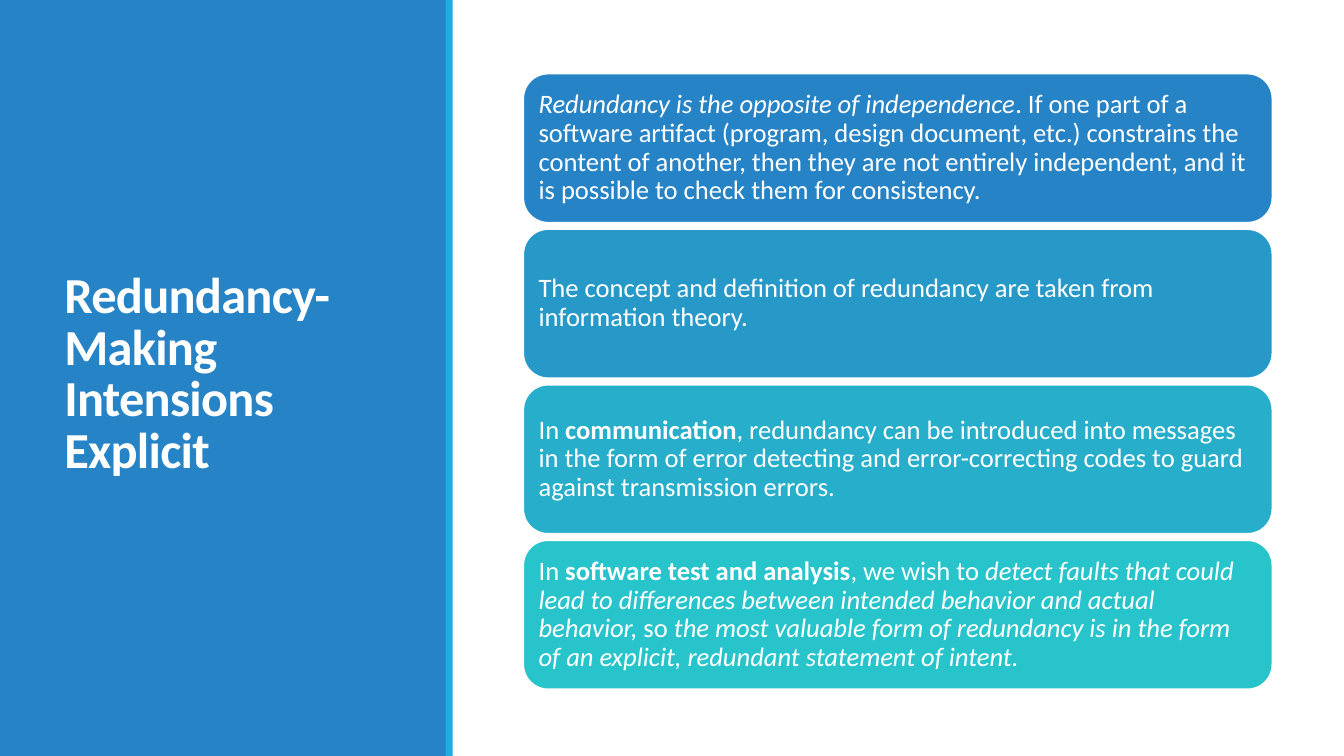
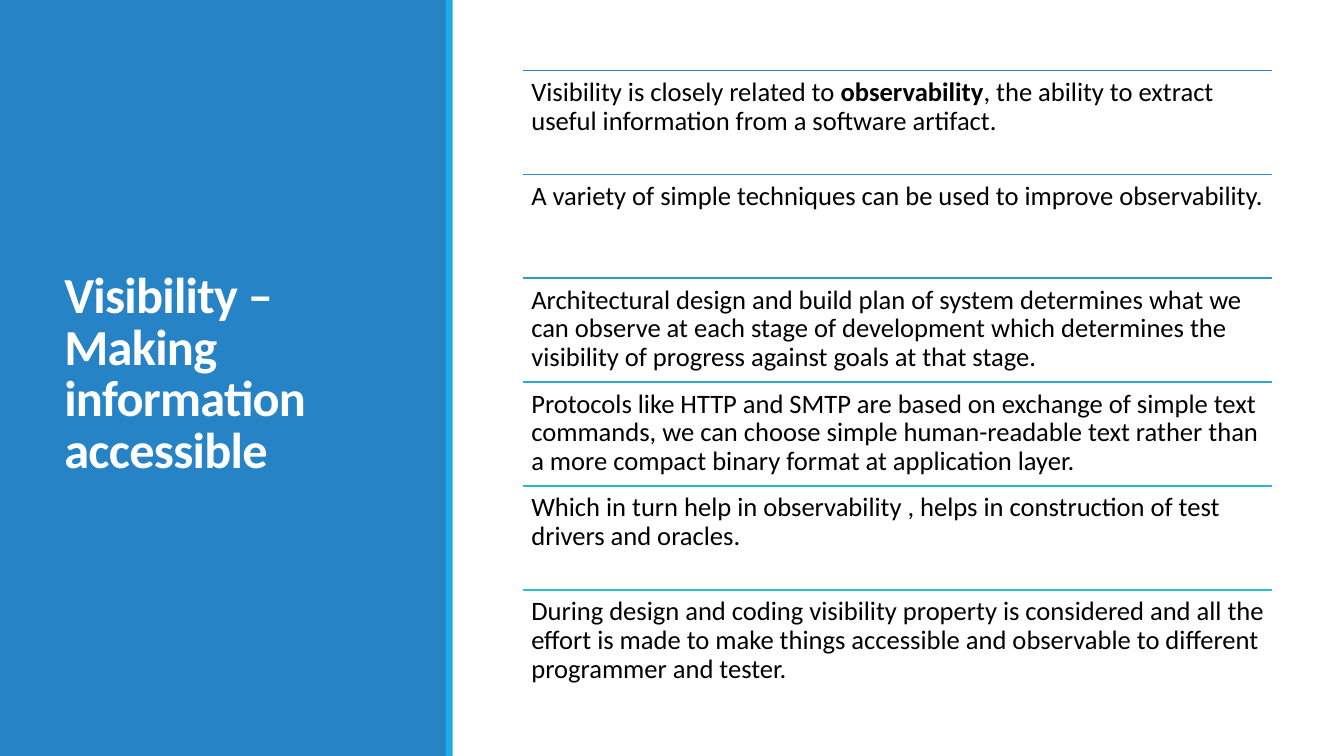
import pptx
import pptx.util
import pptx.dml.color
import pptx.enum.shapes
import pptx.enum.text
import pptx.oxml.ns
import lxml.etree

Inches, Pt = pptx.util.Inches, pptx.util.Pt
SHAPE = pptx.enum.shapes.MSO_SHAPE
ANCHOR = pptx.enum.text.MSO_ANCHOR

COLORS = {"blue": "2683C6", "sky": "1CADE4", "teal": "28C4CC",
          "white": "FFFFFF", "black": "000000"}
FONT = "Calibri"
LEFT, WIDTH = 5.19, 7.43

# Content: each item is a list of (text, style), style "b" bold, "i" italic
CARDS = {
    "title": "Redundancy-Making Intensions Explicit",
    "items": [
        [("Redundancy is the opposite of independence", "i"),
         (". If one part of a software artifact (program, design document, "
          "etc.) constrains the content of another, then they are not "
          "entirely independent, and it is possible to check them for "
          "consistency.", "")],
        [("The concept and definition of redundancy are taken from "
          "information theory.", "")],
        [("In ", ""), ("communication", "b"),
         (", redundancy can be introduced into messages in the form of error "
          "detecting and error-correcting codes to guard against "
          "transmission errors.", "")],
        [("In ", ""), ("software test and analysis", "b"),
         (", we wish to ", ""),
         ("detect faults that could lead to differences between intended "
          "behavior and actual behavior,", "i"),
         (" so ", ""),
         ("the most valuable form of redundancy is in the form of an "
          "explicit, redundant statement of intent.", "i")],
    ],
}
ROWS = {
    "title": "Visibility – Making information accessible",
    "items": [
        [("Visibility is closely related to ", ""), ("observability", "b"),
         (", the ability to extract useful information from a software "
          "artifact.", "")],
        [("A variety of simple techniques can be used to improve "
          "observability.", "")],
        [("Architectural design and build plan of system determines what we "
          "can observe at each stage of development which determines the "
          "visibility of progress against goals at that stage.", "")],
        [("Protocols like HTTP and SMTP are based on exchange of simple text "
          "commands, we can choose simple human-readable text rather than a "
          "more compact binary format at application layer.", "")],
        [("Which in turn help in observability , helps in construction of "
          "test drivers and oracles.", "")],
        [("During design and coding visibility property is considered and "
          "all the effort is made to make things accessible and observable "
          "to different programmer and tester.", "")],
    ],
}


def rgb(code):
    return pptx.dml.color.RGBColor.from_string(code)


def ramp(count):
    """Even colour steps from blue to teal."""
    start, end = rgb(COLORS["blue"]), rgb(COLORS["teal"])
    return ["".join(f"{round(a + (b - a) * i / (count - 1)):02X}"
                    for a, b in zip(start, end)) for i in range(count)]


def block(slide, kind, box, fill, line=None):
    shape = slide.shapes.add_shape(kind, *map(Inches, box))
    shape.shadow.inherit = False
    shape.fill.solid()
    shape.fill.fore_color.rgb = rgb(fill)
    if line:
        shape.line.color.rgb = rgb(line)
        shape.line.width = Pt(1.25)
    else:
        shape.line.fill.background()
    return shape


def write(shape, runs, size, color, anchor, inset, leading):
    frame = shape.text_frame
    frame.word_wrap = True
    frame.vertical_anchor = anchor
    frame.margin_left = frame.margin_right = Inches(inset[0])
    frame.margin_top = frame.margin_bottom = Inches(inset[1])
    para = frame.paragraphs[0]
    para.alignment = pptx.enum.text.PP_ALIGN.LEFT
    para.line_spacing = leading
    for text, style in runs:
        run = para.add_run()
        run.text = text
        font = run.font
        font.name, font.size = FONT, Pt(size)
        font.color.rgb = rgb(color)
        font.bold, font.italic = style == "b", style == "i"
    return para


def body(shape, runs, color, anchor):
    write(shape, runs, 19, color, anchor, (0.08, 0.08), 0.9)


def panel(deck, title):
    """New slide with the blue side panel, its edge and the title."""
    slide = deck.slides.add_slide(deck.slide_layouts[6])
    block(slide, SHAPE.RECTANGLE, (0, 0, 4.43, 7.5), COLORS["blue"])
    box = slide.shapes.add_textbox(*map(Inches, (0.54, 0.57, 3.37, 6.31)))
    para = write(box, [(title, "b")], 36, COLORS["white"], ANCHOR.MIDDLE,
                 (0.1, 0.05), 0.85)
    for run in para.runs:
        run._r.get_or_add_rPr().set("spc", "-50")
    block(slide, SHAPE.RECTANGLE, (4.42, 0, 0.07, 7.5), COLORS["sky"])
    return slide


def cards(deck, data):
    slide = panel(deck, data["title"])
    items = data["items"]
    top, high, step = 0.73, 1.48, 1.543
    for i, (runs, fill) in enumerate(zip(items, ramp(len(items)))):
        card = block(slide, SHAPE.ROUNDED_RECTANGLE,
                     (LEFT, top + i * step, WIDTH, high), fill,
                     COLORS["white"])
        body(card, runs, COLORS["white"], ANCHOR.MIDDLE)


def rows(deck, data):
    slide = panel(deck, data["title"])
    items = data["items"]
    top, high = 0.7, 1.03
    for i, (runs, color) in enumerate(zip(items, ramp(len(items)))):
        y = top + i * high
        rule = slide.shapes.add_connector(
            pptx.enum.shapes.MSO_CONNECTOR.STRAIGHT,
            *map(Inches, (LEFT, y, LEFT + WIDTH, y)))
        rule.line.color.rgb = rgb(color)
        rule.line.width = Pt(1.25)
        lxml.etree.SubElement(rule._element.spPr,
                              pptx.oxml.ns.qn("a:effectLst"))
        box = slide.shapes.add_textbox(*map(Inches, (LEFT, y, WIDTH, high)))
        body(box, runs, COLORS["black"], ANCHOR.TOP)


def main():
    deck = pptx.Presentation()
    deck.slide_width, deck.slide_height = Inches(13.33), Inches(7.5)
    cards(deck, CARDS)
    rows(deck, ROWS)
    deck.save("out.pptx")


if __name__ == "__main__":
    main()
